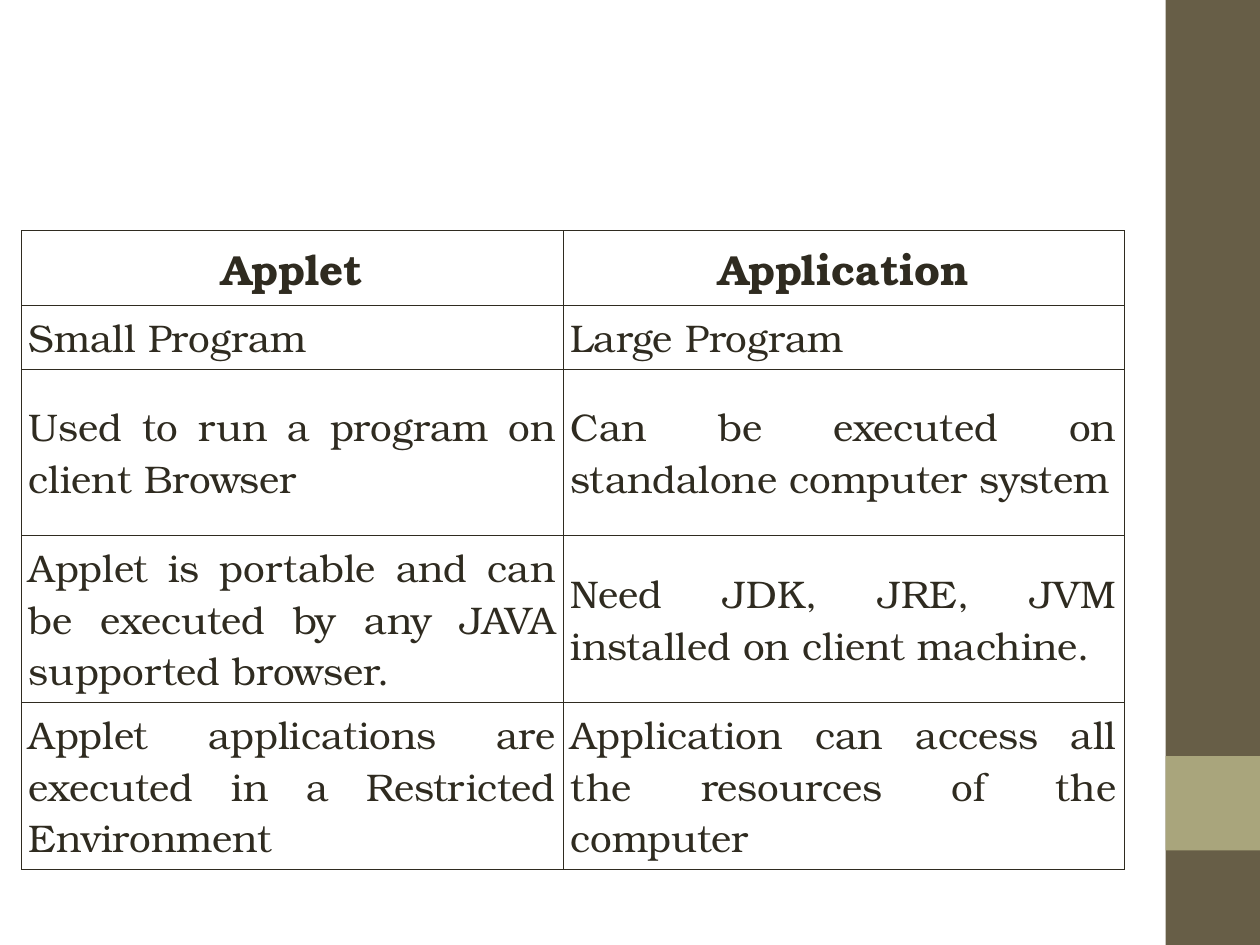
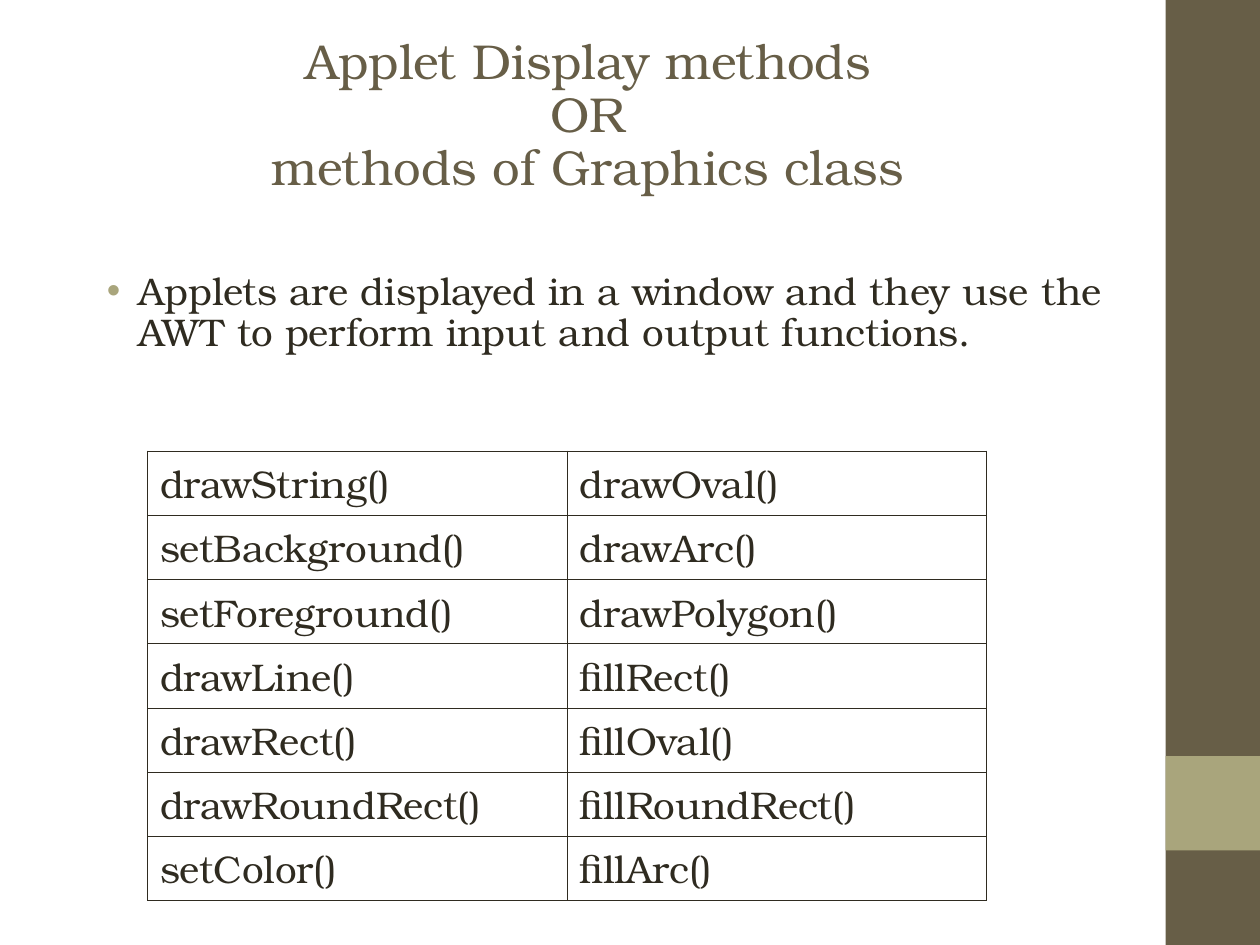
from lxml.etree import SubElement
from pptx import Presentation
from pptx.dml.color import RGBColor
from pptx.enum.shapes import MSO_SHAPE
from pptx.enum.text import MSO_ANCHOR, PP_ALIGN
from pptx.oxml import parse_xml
from pptx.oxml.ns import nsdecls, qn
from pptx.util import Inches, Pt

COLORS = {"brown": "675E47", "olive": "A9A57C", "ink": "2F2B20"}
FONT = "TeX Gyre Bonum"
BODY_SIZE = 22
BORDER_WIDTH = 0.45

BANDS = [("brown", 0, 7.5), ("olive", 6, 0.75)]

COMPARISON = [
    ("Applet", "Application"),
    ("Small Program", "Large Program"),
    ("Used to run a program on client Browser",
     "Can be executed on standalone computer system"),
    ("Applet is portable and can be executed by any JAVA supported browser.",
     "Need JDK, JRE, JVM installed on client machine."),
    ("Applet applications are executed in a Restricted Environment",
     "Application can access all the resources of the computer"),
]

METHODS_TITLE = ["Applet Display methods", "OR", "methods of Graphics class"]
METHODS_INTRO = ("Applets are displayed in a window and they use the AWT "
                 "to perform input and output functions.")
METHODS = [
    ("drawString()", "drawOval()"),
    ("setBackground()", "drawArc()"),
    ("setForeground()", "drawPolygon()"),
    ("drawLine()", "fillRect()"),
    ("drawRect()", "fillOval()"),
    ("drawRoundRect()", "fillRoundRect()"),
    ("setColor()", "fillArc()"),
]


def rgb(color):
    return RGBColor.from_string(COLORS[color])


def style(paragraph, size, color, align, bold=False):
    paragraph.alignment = align
    for run in paragraph.runs:
        run.font.name = FONT
        run.font.size = Pt(size)
        run.font.bold = bold
        run.font.color.rgb = rgb(color)


def add_banded_slide(deck):
    slide = deck.slides.add_slide(deck.slide_layouts[6])
    for color, top, height in BANDS:
        band = slide.shapes.add_shape(MSO_SHAPE.RECTANGLE, Inches(9.25), Inches(top),
                                      Inches(0.75), Inches(height))
        band.shadow.inherit = False
        band.fill.solid()
        band.fill.fore_color.rgb = rgb(color)
        band.line.fill.background()
    return slide


def add_text(slide, text, left, top, width, height, size, color, align, anchor):
    frame = slide.shapes.add_textbox(Inches(left), Inches(top),
                                     Inches(width), Inches(height)).text_frame
    frame.word_wrap = True
    frame.vertical_anchor = anchor
    frame.text = text
    paragraph = frame.paragraphs[0]
    paragraph.line_spacing = 0.9
    style(paragraph, size, color, align)
    return paragraph


def add_bullet(paragraph):
    properties = paragraph._p.get_or_add_pPr()
    properties.set("marL", str(Inches(0.38)))
    properties.set("indent", str(Inches(-0.25)))
    bullet_color = SubElement(properties, qn("a:buClr"))
    SubElement(bullet_color, qn("a:srgbClr"), val=COLORS["olive"])
    SubElement(properties, qn("a:buFont"), typeface="Arial")
    SubElement(properties, qn("a:buChar"), char="•")


def add_borders(cell):
    properties = cell._tc.get_or_add_tcPr()
    for position, side in enumerate("LRTB"):
        properties.insert(position, parse_xml(
            f'<a:ln{side} {nsdecls("a")} w="{Pt(BORDER_WIDTH)}"><a:solidFill>'
            f'<a:srgbClr val="{COLORS["ink"]}"/></a:solidFill></a:ln{side}>'))


def add_grid(slide, rows, left, top, column_widths, row_heights, side_margin,
             align, anchor, header=False):
    grid = slide.shapes.add_table(
        len(rows), len(column_widths), Inches(left), Inches(top),
        Inches(sum(column_widths)), Inches(sum(row_heights))).table
    grid.first_row = grid.horz_banding = False
    for column, width in zip(grid.columns, column_widths):
        column.width = Inches(width)
    for r, (texts, height) in enumerate(zip(rows, row_heights)):
        grid.rows[r].height = Inches(height)
        is_header = header and r == 0
        for c, text in enumerate(texts):
            cell = grid.cell(r, c)
            cell.text = text
            cell.vertical_anchor = anchor
            cell.margin_left = cell.margin_right = Inches(side_margin)
            cell.margin_top = cell.margin_bottom = Inches(0.05)
            cell.fill.background()
            add_borders(cell)
            style(cell.text_frame.paragraphs[0], 24 if is_header else BODY_SIZE, "ink",
                  PP_ALIGN.CENTER if is_header else align, is_header)


def main():
    deck = Presentation()
    deck.slide_width, deck.slide_height = Inches(10), Inches(7.5)

    comparison = add_banded_slide(deck)
    add_grid(comparison, COMPARISON, 0.17, 1.83, [4.3, 4.45], [0.59, 0.51] + [1.32] * 3,
             0.06, PP_ALIGN.JUSTIFY, MSO_ANCHOR.MIDDLE, header=True)

    methods = add_banded_slide(deck)
    add_text(methods, "\v".join(METHODS_TITLE), 0.5, 0.3, 8.33, 1.25, 28, "brown",
             PP_ALIGN.CENTER, MSO_ANCHOR.MIDDLE)
    intro = add_text(methods, METHODS_INTRO, 0.62, 2.11, 8.75, 1, BODY_SIZE, "ink",
                     PP_ALIGN.LEFT, MSO_ANCHOR.TOP)
    add_bullet(intro)
    add_grid(methods, METHODS, 1.17, 3.58, [3.33] * 2, [0.51] * len(METHODS),
             0.1, PP_ALIGN.LEFT, MSO_ANCHOR.TOP)

    deck.save("out.pptx")


if __name__ == "__main__":
    main()
